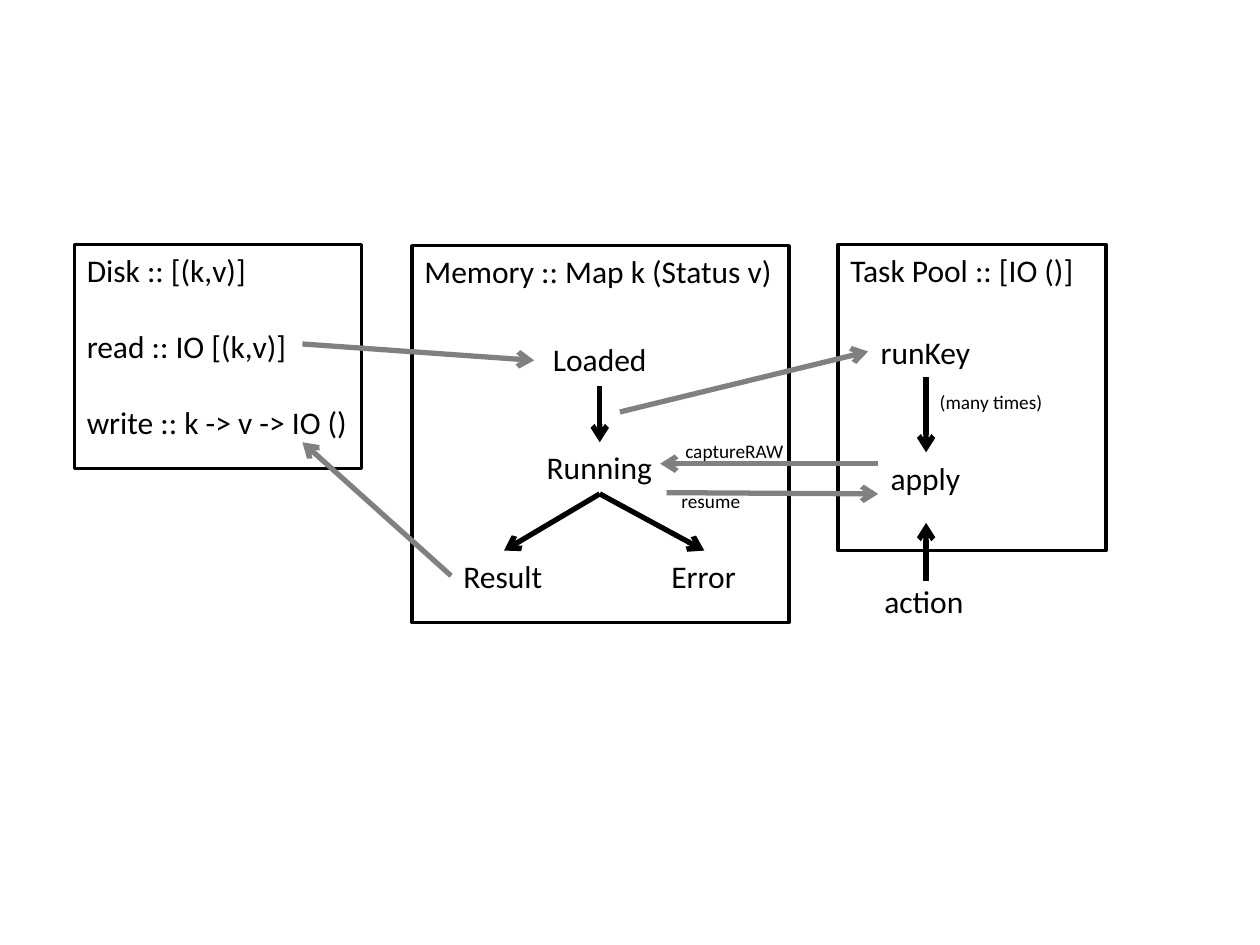
from lxml import etree
from pptx import Presentation
from pptx import util as u
from pptx.dml.color import RGBColor
from pptx.enum import shapes, text
from pptx.oxml.ns import qn

COLORS = {"ink": "000000", "paper": "FFFFFF", "transfer": "808080"}
FONT = "Calibri"


class Diagram:
    """Hold the style and the current slide, and draw each kind of element."""

    def __init__(self, page):
        self.page = page

    def color(self, name):
        return RGBColor.from_string(COLORS[name])

    def add_words(self, para, words, size):
        para.alignment = text.PP_ALIGN.LEFT
        span = para.add_run()
        span.text = words
        span.font.name = FONT
        span.font.size = u.Pt(size)
        span.font.color.rgb = self.color("ink")

    def panel(self, left, top, width, height, lines):
        box = self.page.shapes.add_shape(
            shapes.MSO_SHAPE.RECTANGLE,
            u.Inches(left), u.Inches(top), u.Inches(width), u.Inches(height))
        box.shadow.inherit = False
        box.fill.solid()
        box.fill.fore_color.rgb = self.color("paper")
        box.line.color.rgb = self.color("ink")
        box.line.width = u.Pt(2)
        frame = box.text_frame
        frame.word_wrap = True
        frame.vertical_anchor = text.MSO_ANCHOR.TOP
        for index, words in enumerate(lines):
            para = frame.add_paragraph() if index else frame.paragraphs[0]
            para.space_before = u.Pt(22 if index else 0)
            self.add_words(para, words, 18)

    def label(self, left, top, width, words, size=18):
        height = 0.4 if size == 18 else 0.29
        box = self.page.shapes.add_textbox(
            u.Inches(left), u.Inches(top), u.Inches(width), u.Inches(height))
        frame = box.text_frame
        frame.word_wrap = False
        frame.auto_size = text.MSO_AUTO_SIZE.SHAPE_TO_FIT_TEXT
        self.add_words(frame.paragraphs[0], words, size)

    def arrow(self, start, end, color="ink"):
        link = self.page.shapes.add_connector(
            shapes.MSO_CONNECTOR.STRAIGHT,
            *(u.Inches(length) for length in (*start, *end)))
        link.line.color.rgb = self.color(color)
        link.line.width = u.Pt(3)
        properties = link.element.spPr
        etree.SubElement(properties.find(qn("a:ln")), qn("a:tailEnd"), type="arrow")
        etree.SubElement(properties, qn("a:effectLst"))


def main():
    """Build the slide of the states of a key and save it."""
    deck = Presentation()
    deck.slide_width, deck.slide_height = u.Inches(10), u.Inches(7.5)
    diagram = Diagram(deck.slides.add_slide(deck.slide_layouts[6]))

    diagram.panel(0.59, 1.94, 2.28, 1.78,
                  ["Disk :: [(k,v)]", "read :: IO [(k,v)]", "write :: k -> v -> IO ()"])
    diagram.panel(3.27, 1.95, 2.99, 2.99, ["Memory :: Map k (Status v)"])
    diagram.panel(6.65, 1.94, 2.13, 2.43, ["Task Pool :: [IO ()]"])

    diagram.label(4.29, 2.65, 0.96, "Loaded")
    diagram.label(4.24, 3.51, 1.05, "Running")
    diagram.label(3.58, 4.37, 0.83, "Result")
    diagram.label(5.23, 4.37, 0.72, "Error")
    diagram.label(6.89, 2.59, 0.92, "runKey")
    diagram.label(6.97, 3.59, 0.76, "apply")
    diagram.label(6.92, 4.57, 0.84, "action")

    running = (4.76, 3.92)
    diagram.arrow((4.76, 3.06), (4.76, 3.51))
    diagram.arrow(running, (4, 4.37))
    diagram.arrow(running, (5.59, 4.37))
    diagram.arrow((7.35, 2.99), (7.35, 3.59))
    diagram.arrow((7.35, 4.61), (7.35, 4.15))

    for start, end in [
        ((2.4, 2.73), (4.24, 2.86)),
        ((3.58, 4.57), (2.4, 3.51)),
        ((4.92, 3.27), (6.89, 2.79)),
        ((5.29, 3.91), (6.97, 3.92)),
        ((6.97, 3.68), (5.24, 3.68)),
    ]:
        diagram.arrow(start, end, "transfer")

    diagram.label(7.36, 3.05, 1.02, "(many times)", 11)
    diagram.label(5.34, 3.44, 0.99, "captureRAW", 11)
    diagram.label(5.31, 3.83, 0.67, "resume", 11)

    deck.save("out.pptx")


if __name__ == "__main__":
    main()
